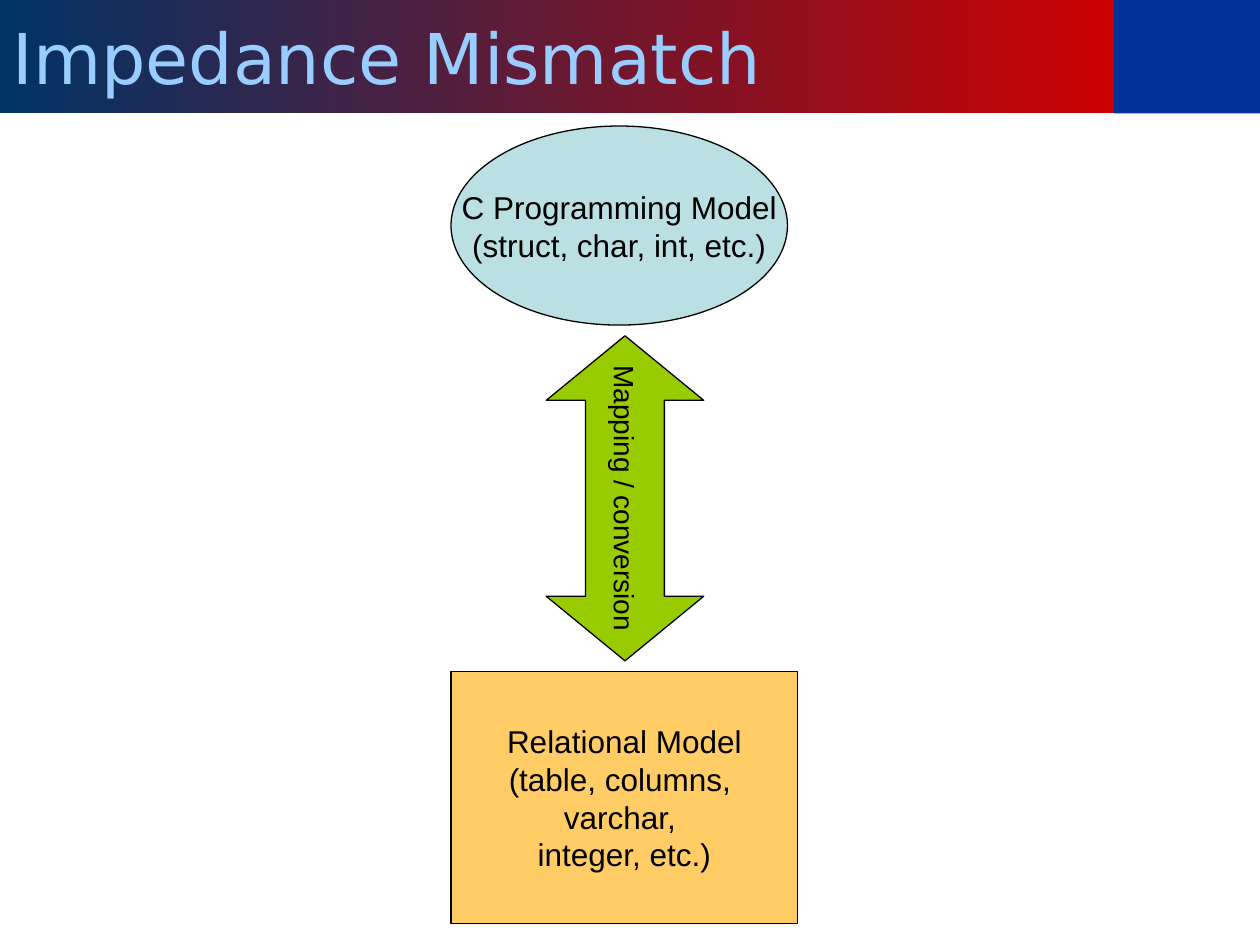
"""Build the impedance mismatch slide: two models joined by a mapping arrow."""
from pptx import Presentation
from pptx.dml.color import RGBColor
from pptx.enum import shapes, text
from pptx.util import Inches, Pt

COLORS = {
    "banner_start": "003366",
    "banner_end": "CC0000",
    "banner_block": "003399",
    "title": "99CCFF",
    "ink": "000000",
    "program": "BBE0E3",
    "relational": "FFCC66",
    "mapping": "99CC00",
}
BANNER_HEIGHT = 0.9
BANNER_SPLIT = 8.84
SLIDE_WIDTH = 10


def color(name):
    """Return the named colour."""
    return RGBColor.from_string(COLORS[name])


def set_format(target, values):
    """Set each named attribute on the target."""
    for name, value in values.items():
        setattr(target, name, value)


def place(shape, box):
    """Move and size a shape to a box given in inches."""
    names = ("left", "top", "width", "height")
    set_format(shape, dict(zip(names, map(Inches, box))))


def write(shape, lines, font, font_color, alignment, wrap):
    """Fill a shape with one formatted paragraph for each line."""
    frame = shape.text_frame
    set_format(frame, {
        "text": "\n".join(lines),
        "word_wrap": wrap,
        "auto_size": text.MSO_AUTO_SIZE.NONE,
        "vertical_anchor": text.MSO_ANCHOR.MIDDLE,
    })
    for paragraph in frame.paragraphs:
        paragraph.alignment = alignment
        set_format(paragraph.runs[0].font, font)
        paragraph.runs[0].font.color.rgb = color(font_color)


def add_filled_shape(slide, kind, box, fill):
    """Add a flat preset shape without a line."""
    shape = slide.shapes.add_shape(kind, *map(Inches, box))
    shape.shadow.inherit = False
    shape.fill.solid()
    shape.fill.fore_color.rgb = color(fill)
    shape.line.fill.background()
    return shape


def add_node(slide, kind, box, fill, lines, size=18):
    """Add an outlined shape with centred text."""
    shape = add_filled_shape(slide, kind, box, fill)
    shape.line.color.rgb = color("ink")
    shape.line.width = Pt(0.75)
    write(shape, lines, {"name": "Arial", "size": Pt(size)}, "ink",
          text.PP_ALIGN.CENTER, False)
    return shape


def add_banner(slide, title):
    """Format the title as a gradient banner with a solid end block."""
    banner = slide.shapes.title
    place(banner, (0, 0, BANNER_SPLIT, BANNER_HEIGHT))
    banner.fill.gradient()
    banner.fill.gradient_angle = 0
    ends = ((0, "banner_start"), (1, "banner_end"))
    for stop, (position, name) in zip(banner.fill.gradient_stops, ends):
        stop.position = position
        stop.color.rgb = color(name)
    write(banner, [title], {"name": "DejaVu Sans", "size": Pt(40)}, "title",
          text.PP_ALIGN.LEFT, True)
    block = (BANNER_SPLIT, 0, SLIDE_WIDTH - BANNER_SPLIT, BANNER_HEIGHT)
    add_filled_shape(slide, shapes.MSO_SHAPE.RECTANGLE, block, "banner_block")


def main():
    """Build and save the presentation."""
    presentation = Presentation()
    presentation.slide_width = Inches(SLIDE_WIDTH)
    presentation.slide_height = Inches(7.5)
    slide = presentation.slides.add_slide(presentation.slide_layouts[5])
    add_banner(slide, "Impedance Mismatch")
    add_node(slide, shapes.MSO_SHAPE.OVAL, (3.58, 1, 2.67, 1.58), "program",
             ["C Programming Model", "(struct, char, int, etc.)"])
    add_node(slide, shapes.MSO_SHAPE.RECTANGLE, (3.58, 5.33, 2.75, 2), "relational",
             ["Relational Model", "(table, columns, ", "varchar, ", "integer, etc.)"])
    arrow = add_node(slide, shapes.MSO_SHAPE.LEFT_RIGHT_ARROW, (3.67, 3.33, 2.58, 1.25),
                     "mapping", ["Mapping / conversion"], 16)
    arrow.rotation = 90
    arrow.adjustments[0] = 0.5
    arrow.adjustments[1] = 0.41
    presentation.save("out.pptx")


if __name__ == "__main__":
    main()
